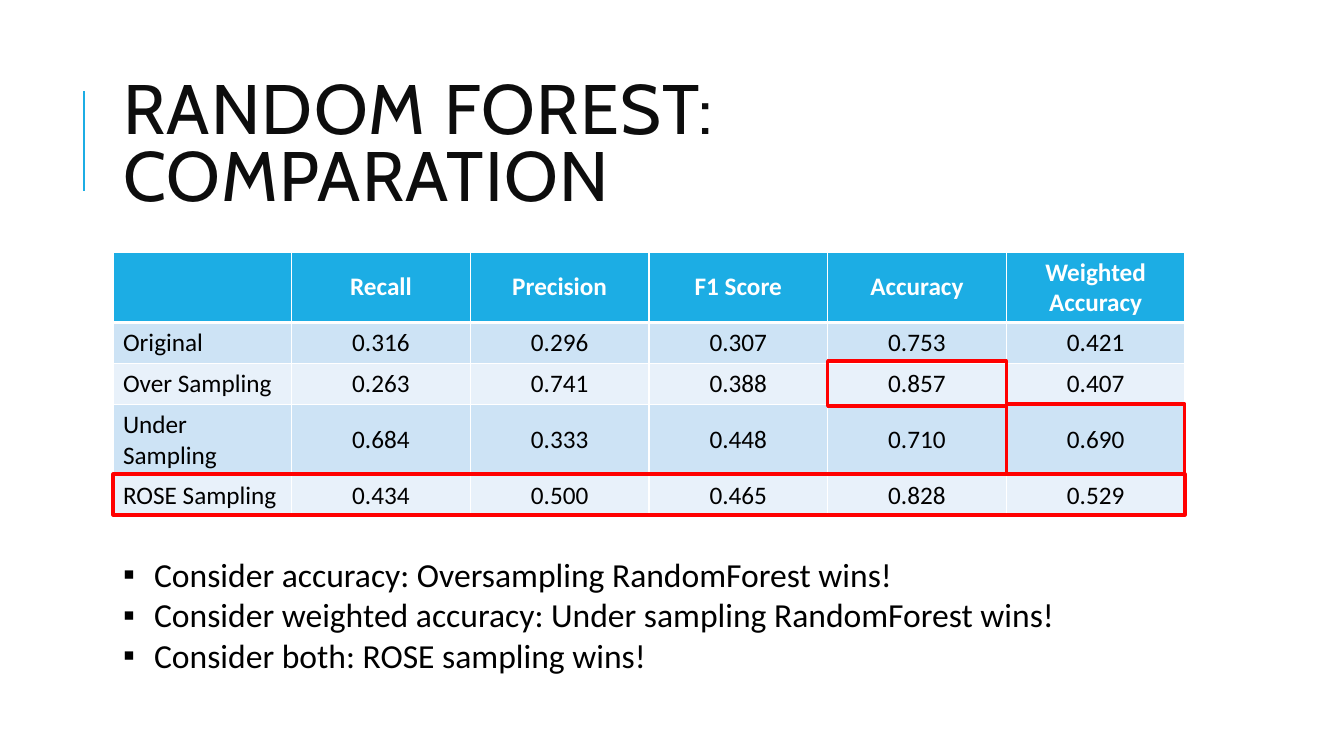
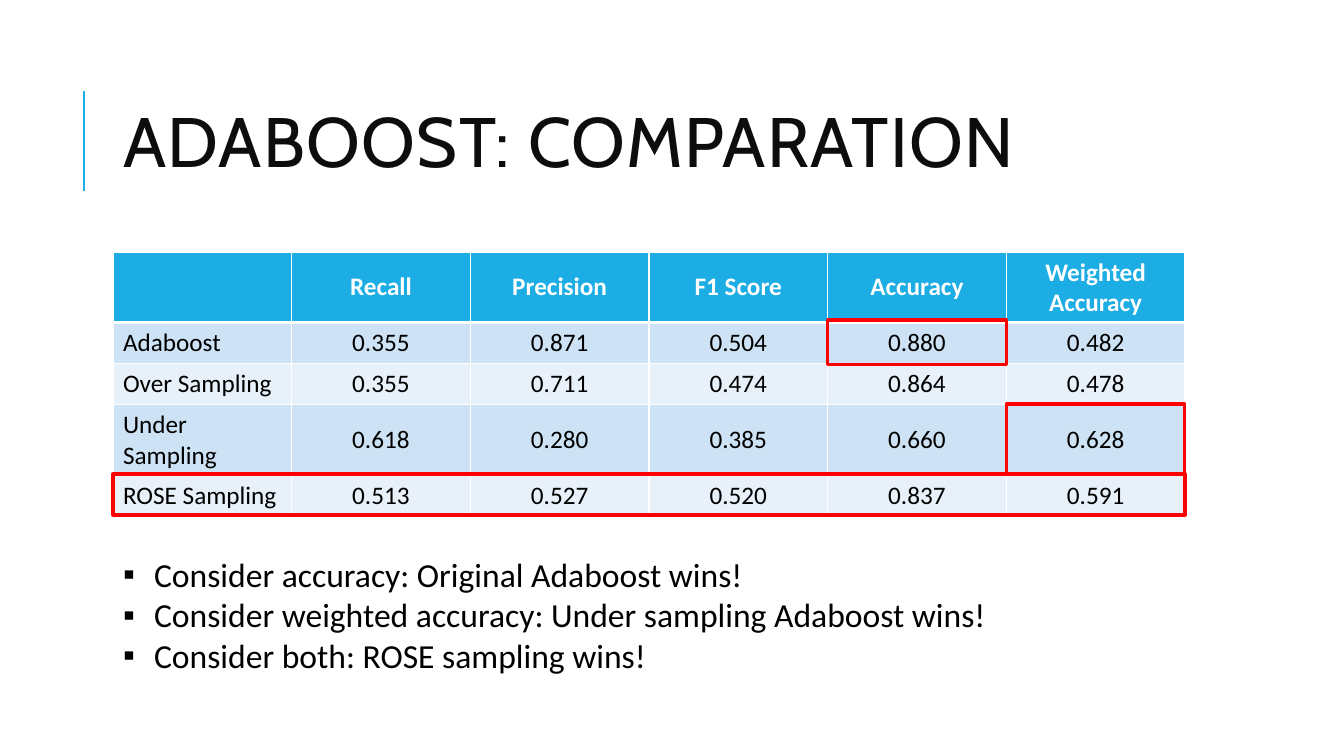
from lxml import etree
from pptx import Presentation
from pptx.dml.color import RGBColor
from pptx.enum.shapes import MSO_CONNECTOR, MSO_SHAPE
from pptx.enum.text import MSO_ANCHOR, MSO_AUTO_SIZE, PP_ALIGN
from pptx.oxml.ns import qn
from pptx.util import Emu, Pt

STRAIGHT = MSO_CONNECTOR.STRAIGHT
RECTANGLE = MSO_SHAPE.RECTANGLE
LEFT, CENTER = PP_ALIGN.LEFT, PP_ALIGN.CENTER
TOP, MIDDLE = MSO_ANCHOR.TOP, MSO_ANCHOR.MIDDLE
NO_AUTOFIT, GROW = MSO_AUTO_SIZE.NONE, MSO_AUTO_SIZE.SHAPE_TO_FIT_TEXT

# Colours and fonts
BLUE = RGBColor(0x1C, 0xAD, 0xE4)
BAND_DARK = RGBColor(0xCD, 0xE3, 0xF5)
BAND_LIGHT = RGBColor(0xE8, 0xF1, 0xFA)
RED = RGBColor(0xFF, 0x00, 0x00)
WHITE = RGBColor(0xFF, 0xFF, 0xFF)
BLACK = RGBColor(0x00, 0x00, 0x00)
TITLE_INK = RGBColor(0x0D, 0x0D, 0x0D)
TITLE_FONT, BODY_FONT = "Cabin", "Calibri"

# Boxes in px: left, top, width, height
SLIDE_W, SLIDE_H = 1344, 756
EMU_PER_PX = 12192000 / SLIDE_W
TITLE_BOX = (113, 65, 1072, 165)
TABLE_BOX = (113, 252, 1072, 263)
FINDINGS_BOX = (113, 549, 1072, 132)
ROW_HEIGHTS = [70, 41, 41, 70, 41]

METRICS = ["", "Recall", "Precision", "F1 Score", "Accuracy", "Weighted Accuracy"]
ACCURACY, WEIGHTED = 4, 5
UNDER_ROW, ROSE_ROW = 3, 4

COMPARISONS = [
    {
        "title": "RANDOM FOREST: COMPARATION",
        "scores": [
            ["Original", "0.316", "0.296", "0.307", "0.753", "0.421"],
            ["Over Sampling", "0.263", "0.741", "0.388", "0.857", "0.407"],
            ["Under Sampling", "0.684", "0.333", "0.448", "0.710", "0.690"],
            ["ROSE Sampling", "0.434", "0.500", "0.465", "0.828", "0.529"],
        ],
        "accuracy_row": 2,
        "findings": [
            "Consider accuracy: Oversampling RandomForest wins!",
            "Consider weighted accuracy: Under sampling RandomForest wins!",
            "Consider both: ROSE sampling wins!",
        ],
    },
    {
        "title": "ADABOOST: COMPARATION",
        "scores": [
            ["Adaboost", "0.355", "0.871", "0.504", "0.880", "0.482"],
            ["Over Sampling", "0.355", "0.711", "0.474", "0.864", "0.478"],
            ["Under Sampling", "0.618", "0.280", "0.385", "0.660", "0.628"],
            ["ROSE Sampling", "0.513", "0.527", "0.520", "0.837", "0.591"],
        ],
        "accuracy_row": 1,
        "findings": [
            "Consider accuracy: Original Adaboost wins!",
            "Consider weighted accuracy: Under sampling Adaboost wins!",
            "Consider both: ROSE sampling wins!",
        ],
    },
]


def px(length):
    return Emu(round(length * EMU_PER_PX))


def place(shape, box):
    shape.left, shape.top, shape.width, shape.height = map(px, box)


def write(paragraph, text, size=18, color=BLACK, font=BODY_FONT, bold=False,
          align=LEFT, line_spacing=1.0, tracking=0):
    """Add one formatted run to a paragraph."""
    paragraph.alignment = align
    paragraph.line_spacing = line_spacing
    paragraph.space_before = Pt(0)
    run = paragraph.add_run()
    run.text = text
    run.font.size, run.font.name, run.font.bold = Pt(size), font, bold
    run.font.color.rgb = color
    if tracking:
        run._r.get_or_add_rPr().set("spc", str(tracking * 100))


def set_bullet(paragraph, indent=31):
    properties = paragraph._p.get_or_add_pPr()
    properties.set("marL", str(px(indent)))
    properties.set("indent", str(-px(indent)))
    etree.SubElement(properties, qn("a:buFont")).set("typeface", "Arial")
    etree.SubElement(properties, qn("a:buChar")).set("char", "▪")


def set_borders(cell, **widths):
    """Draw white cell borders; widths in points by side: L, R, T, B."""
    properties = cell._tc.get_or_add_tcPr()
    for side, width in widths.items():
        border = etree.SubElement(properties, qn(f"a:ln{side}"), w=str(Pt(width)))
        fill = etree.SubElement(border, qn("a:solidFill"))
        etree.SubElement(fill, qn("a:srgbClr"), val=str(WHITE))


def add_title(slide, box, text):
    left, top, _, height = box
    # Accent rule beside the title
    rule_x, middle, half = left - 29, top + height // 2 - 6, 50
    rule = slide.shapes.add_connector(
        STRAIGHT, px(rule_x), px(middle + half), px(rule_x), px(middle - half))
    rule.line.color.rgb, rule.line.width = BLUE, Pt(1.5)
    etree.SubElement(rule._element.spPr, qn("a:effectLst"))

    title = slide.shapes.title
    place(title, box)
    frame = title.text_frame
    frame.word_wrap, frame.auto_size = True, NO_AUTOFIT
    frame.vertical_anchor = MIDDLE
    write(frame.paragraphs[0], text, size=50, color=TITLE_INK, font=TITLE_FONT,
          line_spacing=0.8, tracking=1)


def add_score_table(slide, box, scores):
    rows = [METRICS] + scores
    table = slide.shapes.add_table(len(rows), len(METRICS), *map(px, box)).table
    for column in table.columns:
        column.width = px(box[2] / len(METRICS))
    for row, height in zip(table.rows, ROW_HEIGHTS):
        row.height = px(height)
    for r, values in enumerate(rows):
        header = r == 0
        band = BLUE if header else (BAND_DARK if r % 2 else BAND_LIGHT)
        for c, value in enumerate(values):
            cell = table.cell(r, c)
            set_borders(cell, L=1, R=1, T=3 if r == 1 else 1, B=3 if header else 1)
            cell.fill.solid()
            cell.fill.fore_color.rgb = band
            cell.vertical_anchor = MIDDLE if header or c else TOP
            if value:
                write(cell.text_frame.paragraphs[0], value, bold=header,
                      color=WHITE if header else BLACK,
                      align=CENTER if c else LEFT)


def add_highlight(slide, box, row, column, span=1, outset=0):
    """Frame cells of the score table that fills the box."""
    left, top, width, _ = box
    step = width / len(METRICS)
    frame = slide.shapes.add_shape(
        RECTANGLE, px(left + column * step),
        px(top + sum(ROW_HEIGHTS[:row]) - outset),
        px(span * step), px(ROW_HEIGHTS[row] + 2 * outset))
    frame.shadow.inherit = False
    frame.fill.background()
    frame.line.color.rgb, frame.line.width = RED, Pt(2.25)


def add_findings(slide, box, findings):
    body = slide.placeholders[1]
    place(body, box)
    frame = body.text_frame
    frame.word_wrap, frame.auto_size = True, GROW
    frame.vertical_anchor = TOP
    for i, finding in enumerate(findings):
        paragraph = frame.add_paragraph() if i else frame.paragraphs[0]
        write(paragraph, finding, size=24)
        set_bullet(paragraph)


def add_comparison_slide(deck, title, scores, accuracy_row, findings):
    slide = deck.slides.add_slide(deck.slide_layouts[1])
    add_title(slide, TITLE_BOX, title)
    add_score_table(slide, TABLE_BOX, scores)
    # Best accuracy, best weighted accuracy, best overall
    add_highlight(slide, TABLE_BOX, accuracy_row, ACCURACY, outset=2)
    add_highlight(slide, TABLE_BOX, UNDER_ROW, WEIGHTED)
    add_highlight(slide, TABLE_BOX, ROSE_ROW, 0, span=len(METRICS))
    add_findings(slide, FINDINGS_BOX, findings)


def main():
    deck = Presentation()
    deck.slide_width, deck.slide_height = px(SLIDE_W), px(SLIDE_H)
    for comparison in COMPARISONS:
        add_comparison_slide(deck, **comparison)
    deck.save("out.pptx")


if __name__ == "__main__":
    main()
